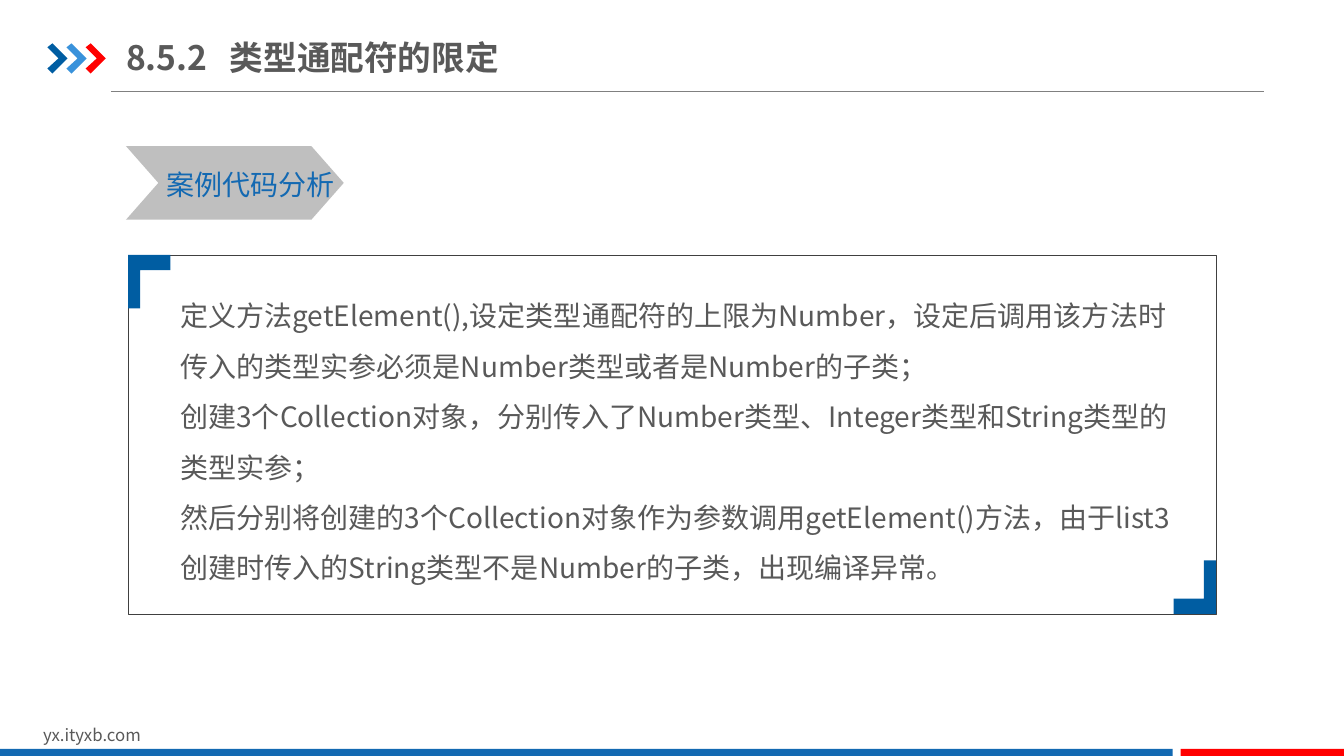
from lxml import etree
from pptx import Presentation
from pptx.dml.color import RGBColor
from pptx.enum.shapes import MSO_CONNECTOR, MSO_SHAPE
from pptx.enum.text import MSO_ANCHOR, MSO_AUTO_SIZE, PP_ALIGN
from pptx.oxml.ns import qn
from pptx.util import Inches, Pt

LINE = MSO_CONNECTOR.STRAIGHT
RECT, ROUND, CHEVRON = MSO_SHAPE.RECTANGLE, MSO_SHAPE.ROUNDED_RECTANGLE, MSO_SHAPE.CHEVRON
MIDDLE, LEFT = MSO_ANCHOR.MIDDLE, PP_ALIGN.LEFT
GROW, FIXED = MSO_AUTO_SIZE.SHAPE_TO_FIT_TEXT, MSO_AUTO_SIZE.NONE

FONT = "Noto Sans CJK SC"
NAVY, BLUE, SKY, RED = "005DA2", "1369B2", "3992DB", "FF0000"
TEXT, GREY, SILVER, DARK = "595959", "808080", "BFBFBF", "404040"

NOTES = [
    "定义方法getElement(),设定类型通配符的上限为Number，设定后调用该方法时传入的类型实参必须是Number类型或者是Number的子类；",
    "创建3个Collection对象，分别传入了Number类型、Integer类型和String类型的类型实参；",
    "然后分别将创建的3个Collection对象作为参数调用getElement()方法，由于list3创建时传入的String类型不是Number的子类，出现编译异常。",
]


def rgb(code):
    return RGBColor.from_string(code)


def assign(target, values):
    for name, value in values.items():
        setattr(target, name, value)


def paint(shape, fill=None, line=None, width=0.25):
    shape.shadow.inherit = False
    if fill:
        shape.fill.solid()
        shape.fill.fore_color.rgb = rgb(fill)
    else:
        shape.fill.background()
    if line:
        shape.line.color.rgb = rgb(line)
        shape.line.width = Pt(width)
    else:
        shape.line.fill.background()


def add_block(slide, kind, box, adjust=None, **look):
    shape = slide.shapes.add_shape(kind, *map(Inches, box))
    if adjust is not None:
        shape.adjustments[0] = adjust
    paint(shape, **look)


def add_outline(slide, points, fill):
    spots = [(Inches(x), Inches(y)) for x, y in points]
    maker = slide.shapes.build_freeform(*spots[0])
    maker.add_line_segments(spots[1:], close=True)
    paint(maker.convert_to_shape(), fill=fill)


def add_arrow(slide, left, fill):
    """Draw one of the small angle marks beside the title."""
    shape = [(0, 0.47), (0.05, 0.43), (0.2, 0.58), (0.05, 0.73), (0, 0.68), (0.11, 0.58)]
    add_outline(slide, [(left + x, y) for x, y in shape], fill)


def add_corner(slide, x, y, way):
    """Draw an L mark from a frame corner; way is 1 inward right-down, -1 left-up."""
    shape = [(0, 0), (0.42, 0), (0.42, 0.15), (0.12, 0.15), (0.12, 0.53), (0, 0.53)]
    add_outline(slide, [(x + way * dx, y + way * dy) for dx, dy in shape], NAVY)


def add_rule(slide, x1, x2, y):
    rule = slide.shapes.add_connector(LINE, *map(Inches, (x1, y, x2, y)))
    rule.line.color.rgb = rgb(GREY)
    rule.line.width = Pt(0.75)
    etree.SubElement(rule._element.spPr, qn("a:effectLst"))


def write(frame, lines, size, color=TEXT, bold=False, space=None):
    for index, line in enumerate(lines):
        para = frame.paragraphs[0] if index == 0 else frame.add_paragraph()
        assign(para, {"alignment": LEFT, "line_spacing": space})
        run = para.add_run()
        run.text = line
        assign(run.font, {"name": FONT, "size": Pt(size), "bold": bold})
        run.font.color.rgb = rgb(color)
        etree.SubElement(run.font._element, qn("a:ea"), typeface=FONT)


def add_text(slide, box, lines, size, wrap=True, **look):
    frame = slide.shapes.add_textbox(*map(Inches, box)).text_frame
    assign(frame, {"word_wrap": wrap, "auto_size": GROW})
    write(frame, lines, size, **look)


def set_title(slide, box, number, name):
    title = slide.shapes.title
    assign(title, dict(zip(("left", "top", "width", "height"), map(Inches, box))))
    frame = title.text_frame
    assign(frame, {
        "margin_left": 0, "margin_right": 0,
        "margin_top": Inches(0.07), "margin_bottom": Inches(0.07),
        "vertical_anchor": MIDDLE, "auto_size": FIXED, "word_wrap": True,
    })
    props = frame.paragraphs[0]._p.get_or_add_pPr()
    tabs = etree.SubElement(props, qn("a:tabLst"))
    etree.SubElement(tabs, qn("a:tab"), pos=str(Inches(1.03)), algn="l")
    write(frame, [f"{number}\t{name}"], 24, bold=True)


def main():
    deck = Presentation()
    assign(deck, {"slide_width": Inches(13.33), "slide_height": Inches(7.5)})
    slide = deck.slides.add_slide(deck.slide_layouts[5])

    add_rule(slide, 1.1, 12.54, 0.91)
    for index, fill in enumerate((NAVY, SKY, RED)):
        add_arrow(slide, 0.47 + 0.19 * index, fill)
    set_title(slide, (1.25, 0.29, 4.26, 0.55), "8.5.2", "类型通配符的限定")

    add_text(slide, (0.33, 7.14, 3.18, 0.3), ["yx.ityxb.com"], 12)
    add_block(slide, RECT, (0, 7.43, 11.63, 0.09), fill=BLUE)
    add_block(slide, RECT, (11.71, 7.43, 1.63, 0.09), fill=RED)

    add_block(slide, CHEVRON, (1.25, 1.45, 2.16, 0.73), 0.44, fill=SILVER)
    add_text(slide, (1.55, 1.61, 1.87, 0.44), ["案例代码分析"], 20, wrap=False, color=BLUE)

    left, top, width, height = frame = 1.27, 2.53, 10.79, 3.56
    add_text(slide, (1.69, 2.75, 10.13, 3.13), NOTES, 20, space=1.5)
    add_block(slide, ROUND, frame, 0, line=DARK)
    add_corner(slide, left, top, 1)
    add_corner(slide, left + width, top + height, -1)

    deck.save("out.pptx")


if __name__ == "__main__":
    main()
